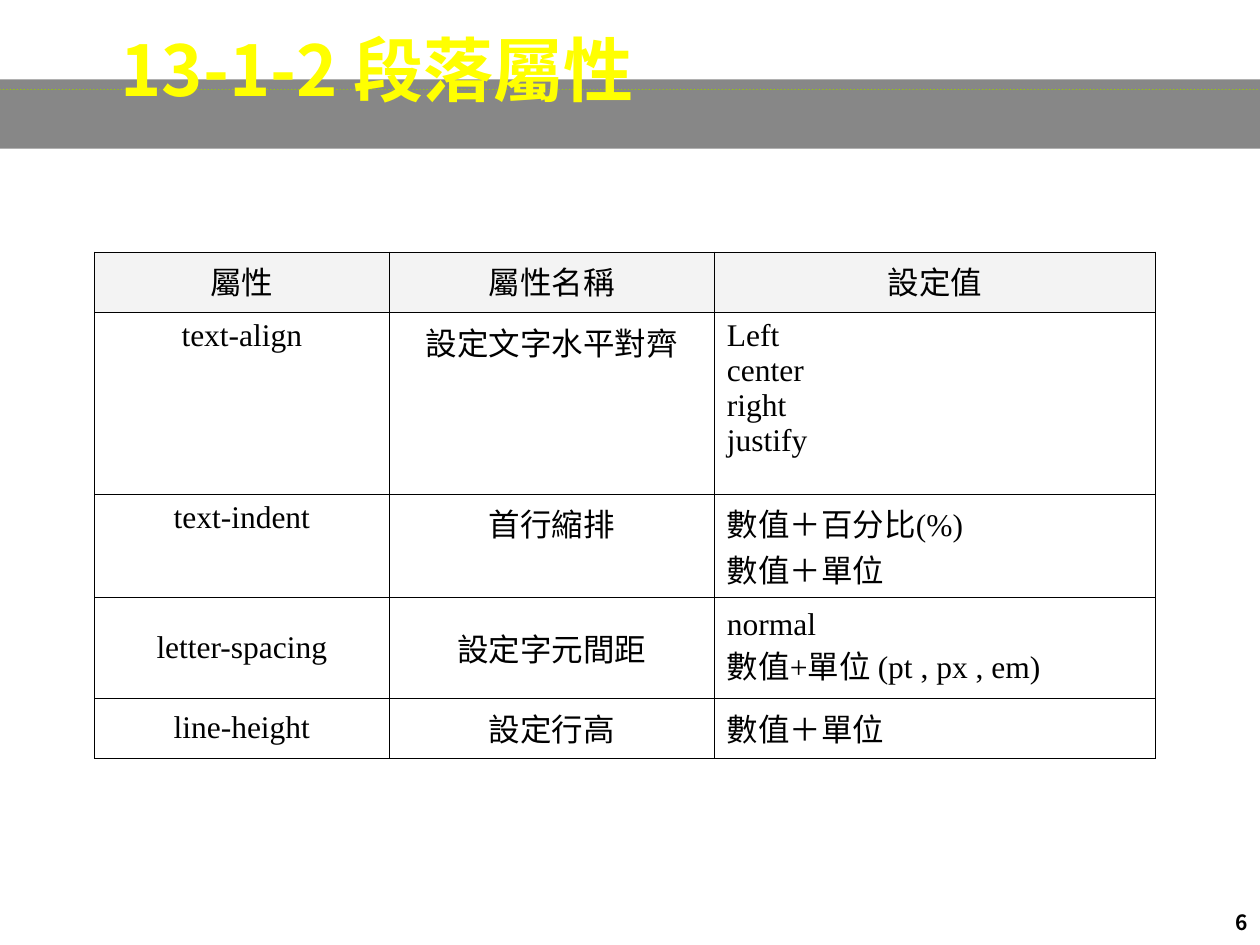
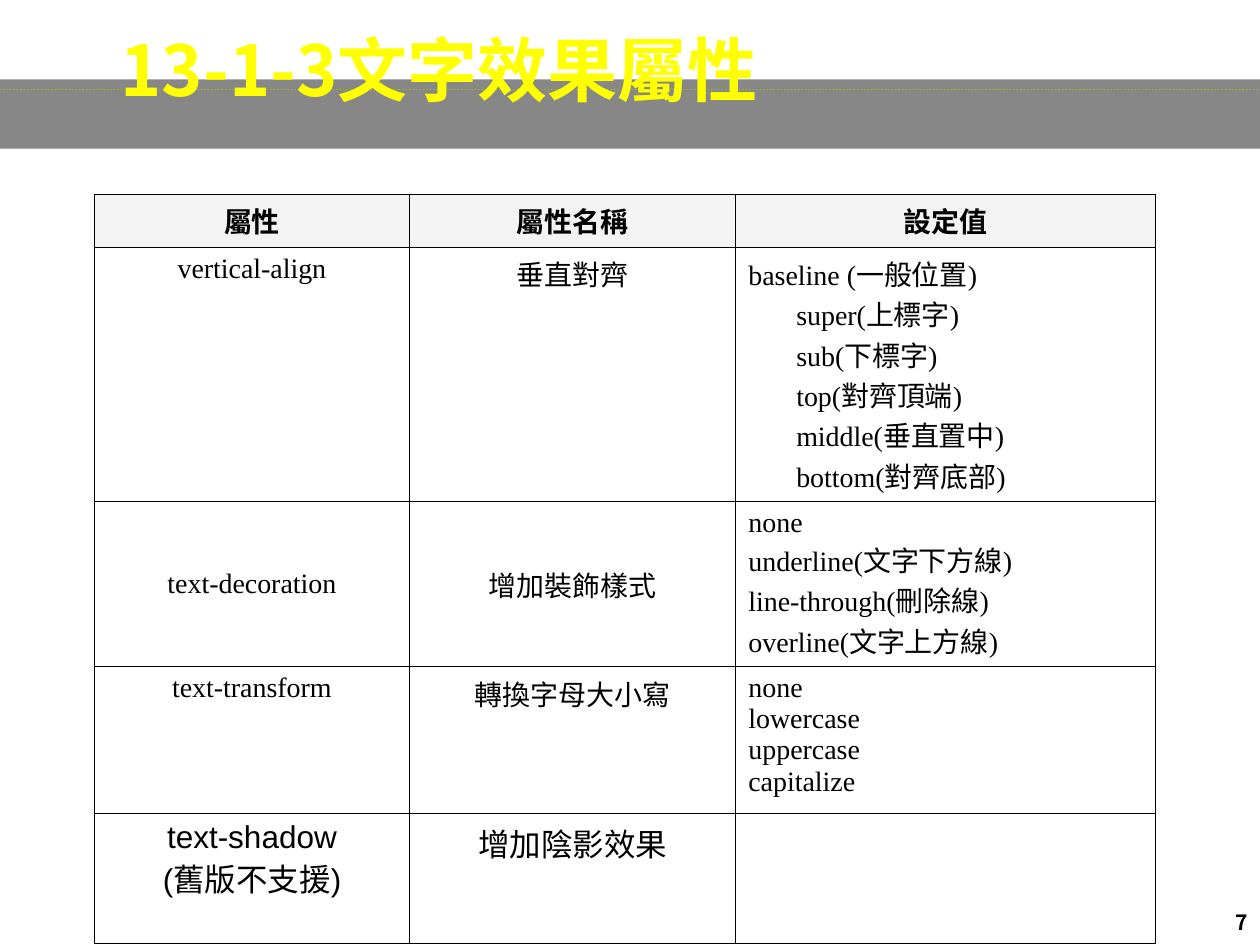
from collections import namedtuple

from lxml.etree import SubElement
from pptx import Presentation
from pptx.dml.color import RGBColor
from pptx.enum.shapes import MSO_CONNECTOR, MSO_SHAPE
from pptx.enum.text import MSO_ANCHOR, PP_ALIGN
from pptx.oxml.ns import qn
from pptx.util import Inches, Pt

BLACK = RGBColor(0x00, 0x00, 0x00)
WHITE = RGBColor(0xFF, 0xFF, 0xFF)
BAND = RGBColor(0x11, 0x11, 0x11)
LIME = RGBColor(0x99, 0xCC, 0x00)
YELLOW = RGBColor(0xFF, 0xFF, 0x00)
HEADER = RGBColor(0xF3, 0xF3, 0xF3)
CJK = "Noto Sans CJK SC"
SERIF = "Times New Roman"
SANS = "Arial"
HANG = Inches(0.38)
BORDER = Pt(0.45)

Row = namedtuple("Row", "height cells middle font size hanging",
                 defaults=(False, SERIF, None, True))
HEADINGS = ("屬性", "屬性名稱", "設定值")

PARAGRAPH_ROWS = [
    Row(1.44, ("text-align", "設定文字水平對齊", "Left\ncenter\nright\njustify")),
    Row(0.82, ("text-indent", "首行縮排", "數值＋百分比(%)\n數值＋單位")),
    Row(0.8, ("letter-spacing", "設定字元間距", "normal \v數值+單位 (pt , px , em)"),
        middle=True, hanging=False),
    Row(0.48, ("line-height", "設定行高", "數值＋單位"), middle=True),
]
EFFECT_ROWS = [
    Row(2.02, ("vertical-align", "垂直對齊",
               "baseline (一般位置)\vsuper(上標字)\vsub(下標字)\v"
               "top(對齊頂端)\vmiddle(垂直置中)\vbottom(對齊底部)")),
    Row(1.31, ("text-decoration", "增加裝飾樣式",
               "none\nunderline(文字下方線)\nline-through(刪除線)\noverline(文字上方線)"),
        middle=True),
    Row(1.17, ("text-transform", "轉換字母大小寫",
               "none\nlowercase\nuppercase\ncapitalize")),
    Row(1.03, ("text-shadow\n(舊版不支援)", "增加陰影效果", ""), font=SANS, size=18),
]


def format_runs(p, font, size, color, bold=False):
    for r in p.runs:
        r.font.name, r.font.size, r.font.bold = font, Pt(size), bold
        r.font.color.rgb = color
        latin = r.font._element.find(qn("a:latin"))
        ea = latin.makeelement(qn("a:ea"), {"typeface": CJK})
        latin.addnext(ea)


def add_label(slide, box, text, size, color, align):
    tf = slide.shapes.add_textbox(*map(Inches, box)).text_frame
    tf.word_wrap = True
    tf.text = text
    p = tf.paragraphs[0]
    p.alignment = align
    format_runs(p, CJK, size, color, True)


def add_band(slide, box):
    left, top, width, height = map(Inches, box)
    band = slide.shapes.add_shape(MSO_SHAPE.RECTANGLE, left, top, width, height)
    band.shadow.inherit = False
    band.fill.solid()
    band.fill.fore_color.rgb = BAND
    band.line.fill.background()
    color = band._element.spPr.find(qn("a:solidFill"))[0]
    SubElement(color, qn("a:alpha"), val="50000")

    y = top + Inches(0.08)
    rule = slide.shapes.add_connector(MSO_CONNECTOR.STRAIGHT, left, y, left + width, y)
    rule.line.color.rgb = LIME
    rule.line.width = Pt(1)
    ln = rule._element.spPr.find(qn("a:ln"))
    ln.set("cap", "rnd")
    SubElement(ln, qn("a:prstDash"), val="sysDot")
    SubElement(rule._element.spPr, qn("a:effectLst"))


def add_borders(cell):
    tc_pr = cell._tc.get_or_add_tcPr()
    for side in ("lnL", "lnR", "lnT", "lnB"):
        ln = SubElement(tc_pr, qn(f"a:{side}"), w=str(int(BORDER)))
        fill = SubElement(ln, qn("a:solidFill"))
        SubElement(fill, qn("a:srgbClr"), val=str(BLACK))


def fill_cell(cell, text, row, size, centered, fill, bold, hanging):
    add_borders(cell)
    cell.fill.solid()
    cell.fill.fore_color.rgb = fill
    cell.vertical_anchor = MSO_ANCHOR.MIDDLE if row.middle else MSO_ANCHOR.TOP
    cell.margin_left = cell.margin_right = Inches(0.1)
    cell.margin_top = cell.margin_bottom = Inches(0.05)
    cell.text_frame.text = text
    for p in cell.text_frame.paragraphs:
        p.alignment = PP_ALIGN.CENTER if centered else PP_ALIGN.LEFT
        if hanging:
            p_pr = p._p.get_or_add_pPr()
            p_pr.set("marL", str(int(HANG)))
            p_pr.set("indent", str(-int(HANG)))
        format_runs(p, row.font, row.size or size, BLACK, bold)


def add_property_table(slide, left, top, widths, header, body, size, bold_header):
    rows = [header, *body]
    table = slide.shapes.add_table(
        len(rows), len(widths), Inches(left), Inches(top),
        Inches(sum(widths)), Inches(sum(row.height for row in rows))).table
    table.first_row = table.horz_banding = False
    for column, width in zip(table.columns, widths):
        column.width = Inches(width)
    for i, row in enumerate(rows):
        table.rows[i].height = Inches(row.height)
        is_header = i == 0
        for j, text in enumerate(row.cells):
            is_value = j == len(widths) - 1
            fill_cell(table.cell(i, j), text, row, size,
                      centered=is_header or not is_value,
                      fill=HEADER if is_header else WHITE,
                      bold=is_header and bold_header,
                      hanging=row.hanging or not is_value)


def add_property_slide(prs, number, title):
    slide = prs.slides.add_slide(prs.slide_layouts[6])
    add_band(slide, (0, 0.63, 10, 0.55))
    add_label(slide, (7.67, 7.17, 2.33, 0.52), str(number), 12, BLACK, PP_ALIGN.RIGHT)
    add_label(slide, (0.86, 0.16, 8.98, 0.97), title, 40, YELLOW, PP_ALIGN.LEFT)
    return slide


def main():
    prs = Presentation()
    prs.slide_width, prs.slide_height = Inches(10), Inches(7.5)

    slide = add_property_slide(prs, 6, "13-1-2 段落屬性")
    add_property_table(slide, 0.75, 2, (2.34, 2.58, 3.5), Row(0.48, HEADINGS),
                       PARAGRAPH_ROWS, size=18, bold_header=False)

    slide = add_property_slide(prs, 7, "13-1-3文字效果屬性")
    add_property_table(slide, 0.75, 1.54, (2.5, 2.59, 3.33), Row(0.42, HEADINGS),
                       EFFECT_ROWS, size=16, bold_header=True)

    prs.save("out.pptx")


if __name__ == "__main__":
    main()
